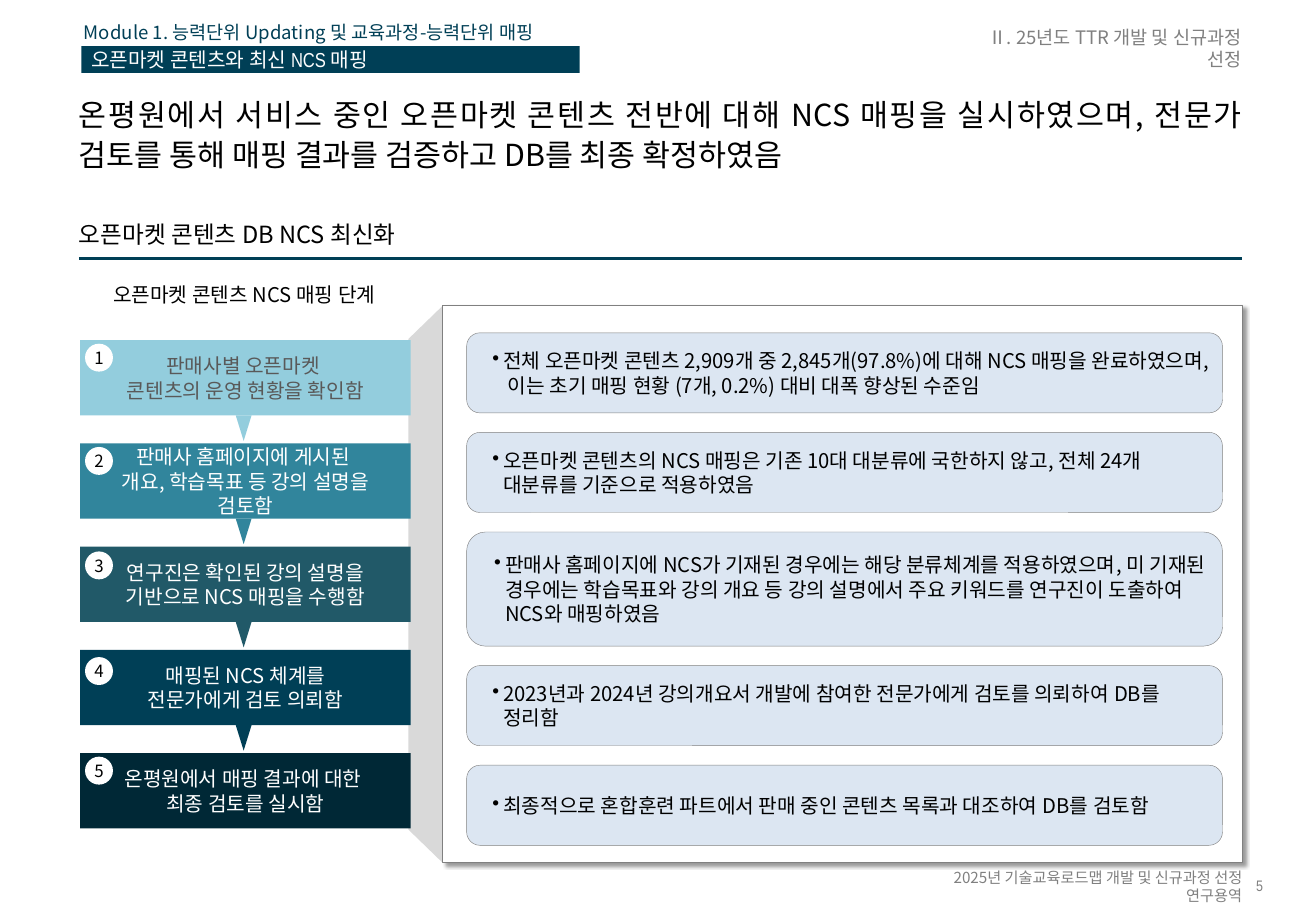
import pptx
import pptx.util
import pptx.dml.color
import pptx.enum.shapes
import pptx.enum.text
import pptx.oxml.ns
from lxml import etree

Inches = pptx.util.Inches
Pt = pptx.util.Pt
SHAPES = pptx.enum.shapes.MSO_SHAPE
ALIGN = pptx.enum.text.PP_ALIGN
ANCHOR = pptx.enum.text.MSO_ANCHOR
qualified = pptx.oxml.ns.qn

FONT = "Noto Sans CJK KR"
NARROW = "Arial Narrow"
NAVY, GRAY, BLACK, WHITE = "003F56", "808080", "000000", "FFFFFF"

STEPS = [
    ("판매사별 오픈마켓 \n콘텐츠의 운영 현황을 확인함", "93CDDD", "595959", 2.83),
    ("판매사 홈페이지에 게시된 \n개요, 학습목표 등 강의 설명을 검토함", "31859C", WHITE, 3.68),
    ("연구진은 확인된 강의 설명을 기반으로 NCS 매핑을 수행함", "215968", WHITE, 4.54),
    ("매핑된 NCS 체계를\n전문가에게 검토 의뢰함", NAVY, WHITE, 5.41),
    ("온평원에서 매핑 결과에 대한 \n최종 검토를 실시함", "002836", WHITE, 6.23),
]
STEP_TOP, STEP_HEIGHT, STEP_PITCH = 2.8, 0.62, 0.85

CARDS = [
    ("전체 오픈마켓 콘텐츠 2,909개 중 2,845개(97.8%)에 대해 NCS 매핑을 완료하였으며, "
     "이는 초기 매핑 현황 (7개, 0.2%) 대비 대폭 향상된 수준임", 0.66),
    ("오픈마켓 콘텐츠의 NCS 매핑은 기존 10대 대분류에 국한하지 않고, "
     "전체 24개 대분류를 기준으로 적용하였음", 0.66),
    ("판매사 홈페이지에 NCS가 기재된 경우에는 해당 분류체계를 적용하였으며, "
     "미 기재된 경우에는 학습목표와 강의 개요 등 강의 설명에서 주요 키워드를 연구진이 "
     "도출하여 NCS와 매핑하였음", 0.94),
    ("2023년과 2024년 강의개요서 개발에 참여한 전문가에게 검토를 의뢰하여 DB를 정리함", 0.66),
    ("최종적으로 혼합훈련 파트에서 판매 중인 콘텐츠 목록과 대조하여 DB를 검토함", 0.66),
]
CARD_TOP, CARD_GAP = 2.74, 0.16


def rgb(value):
    return pptx.dml.color.RGBColor.from_string(value)


def write(shape, text, size=12, color=BLACK, font=FONT, align=ALIGN.LEFT,
          anchor=ANCHOR.MIDDLE, insets=(0, 0, 0, 0), spacing=1.0, wrap=True, bullet=False):
    frame = shape.text_frame
    frame.auto_size = pptx.enum.text.MSO_AUTO_SIZE.NONE
    frame.word_wrap = wrap
    frame.vertical_anchor = anchor
    frame.margin_left, frame.margin_top, frame.margin_right, frame.margin_bottom = map(Inches, insets)
    paragraph = frame.paragraphs[0]
    paragraph.text = text
    properties = paragraph._p.get_or_add_pPr()
    properties.set("marL", str(Inches(0.19 if bullet else 0)))
    properties.set("indent", str(Inches(-0.09 if bullet else 0)))
    if bullet:
        etree.SubElement(properties, qualified("a:buChar")).set("char", "•")
    else:
        etree.SubElement(properties, qualified("a:buNone"))
    paragraph.alignment = align
    paragraph.line_spacing = spacing
    paragraph.space_before = Pt(0)
    for run in paragraph.runs:
        run.font.size = Pt(size)
        run.font.name = font
        run.font.color.rgb = rgb(color)
        east_asian = etree.SubElement(run._r.get_or_add_rPr(), qualified("a:ea"))
        east_asian.set("typeface", FONT)


class SlideBuilder:
    def __init__(self, slide):
        self.slide = slide

    def placeholder(self, index, box, text, **style):
        shape = self.slide.placeholders[index]
        shape.left, shape.top, shape.width, shape.height = map(Inches, box)
        write(shape, text, **style)

    def text(self, box, text, **style):
        write(self.slide.shapes.add_textbox(*map(Inches, box)), text, **style)

    def shape(self, kind, box, fill, text=None, outline=None, **style):
        shape = self.slide.shapes.add_shape(kind, *map(Inches, box))
        shape.shadow.inherit = False
        shape.fill.solid()
        shape.fill.fore_color.rgb = rgb(fill)
        if outline:
            shape.line.color.rgb = rgb(outline)
            shape.line.width = Pt(0.25)
        else:
            shape.line.fill.background()
        if text:
            write(shape, text, **style)
        return shape

    def rule(self, left, top, right, color, width):
        line = self.slide.shapes.add_connector(
            pptx.enum.shapes.MSO_CONNECTOR.STRAIGHT,
            Inches(left), Inches(top), Inches(right), Inches(top))
        line.line.color.rgb = rgb(color)
        line.line.width = Pt(width)
        etree.SubElement(line._element.spPr, qualified("a:effectLst"))

    def panel(self, box):
        panel = self.shape(SHAPES.RECTANGLE, box, WHITE, outline=GRAY)
        effects = panel._element.spPr.find(qualified("a:effectLst"))
        shadow = etree.SubElement(effects, qualified("a:outerShdw"), blurRad=str(Pt(2)),
                                  dist=str(Pt(3)), dir="2700000", algn="tl", rotWithShape="0")
        color = etree.SubElement(shadow, qualified("a:srgbClr"), val=BLACK)
        etree.SubElement(color, qualified("a:alpha"), val="40000")


def add_header(builder):
    builder.placeholder(0, (0.65, 0.71, 9.57, 0.89),
                        "온평원에서 서비스 중인 오픈마켓 콘텐츠 전반에 대해 NCS 매핑을 실시하였으며, "
                        "전문가 검토를 통해 매핑 결과를 검증하고 DB를 최종 확정하였음",
                        size=18, align=ALIGN.JUSTIFY, anchor=ANCHOR.TOP,
                        insets=(0, 0.05, 0, 0), spacing=1.1)
    builder.placeholder(1, (7.98, 0.15, 2.24, 0.49), "Ⅱ. 25년도 TTR 개발 및 신규과정 선정",
                        size=11, color=GRAY, align=ALIGN.RIGHT)
    builder.shape(SHAPES.RECTANGLE, (0.67, 0.38, 4.1, 0.22), NAVY,
                  "오픈마켓 콘텐츠와 최신 NCS 매핑", color=WHITE, font=NARROW, insets=(0.08, 0, 0, 0))
    builder.text((0.65, 0.15, 4.76, 0.23), "Module 1. 능력단위 Updating 및 교육과정-능력단위 매핑",
                 size=11, color=NAVY, insets=(0.04, 0, 0, 0))
    builder.text((0.65, 1.84, 9.57, 0.29), "오픈마켓 콘텐츠 DB NCS 최신화",
                 size=14, anchor=ANCHOR.BOTTOM, insets=(0, 0, 0, 0.08), spacing=0.9)
    builder.rule(0.65, 2.13, 10.22, NAVY, 1.75)


def add_steps(builder):
    builder.text((0.65, 2.3, 2.72, 0.28), "오픈마켓 콘텐츠 NCS 매핑 단계", align=ALIGN.CENTER,
                 anchor=ANCHOR.TOP, insets=(0.1, 0.05, 0.1, 0.05), spacing=0.9)
    for index, (text, fill, color, badge_top) in enumerate(STEPS):
        top = STEP_TOP + index * STEP_PITCH
        builder.shape(SHAPES.RECTANGLE, (0.66, top, 2.72, STEP_HEIGHT), fill, text, color=color,
                      align=ALIGN.CENTER, insets=(0.1, 0.05, 0.1, 0.05))
        if index < len(STEPS) - 1:
            arrow = builder.shape(SHAPES.ISOSCELES_TRIANGLE,
                                  (1.94, top + STEP_HEIGHT, 0.13, 0.21), fill)
            arrow.rotation = 180
        builder.shape(SHAPES.OVAL, (0.7, badge_top, 0.23, 0.23), WHITE, str(index + 1),
                      size=10, align=ALIGN.CENTER, wrap=False)


def add_cards(builder):
    builder.panel((3.64, 2.51, 6.58, 4.59))
    top = CARD_TOP
    for text, height in CARDS:
        builder.shape(SHAPES.ROUNDED_RECTANGLE, (3.84, top, 6.22, height), "DCE6F2", text,
                      outline=GRAY, insets=(0.08, 0.04, 0.08, 0.04), bullet=True)
        top += height + CARD_GAP


def add_footer(builder):
    builder.text((7.4, 7.22, 2.82, 0.15), "2025년 기술교육로드맵 개발 및 신규과정 선정 연구용역",
                 size=9, color=GRAY, align=ALIGN.RIGHT)
    builder.text((10.3, 7.23, 0.13, 0.14), "5", size=9, color=GRAY, font=NARROW,
                 align=ALIGN.CENTER, spacing=0.9)


def main():
    presentation = pptx.Presentation()
    presentation.slide_width = Inches(10.83)
    presentation.slide_height = Inches(7.5)
    builder = SlideBuilder(presentation.slides.add_slide(presentation.slide_layouts[1]))
    add_header(builder)
    funnel = builder.shape(SHAPES.TRAPEZOID, (1.21, 4.67, 4.58, 0.28), "D9D9D9")
    funnel.adjustments[0] = 0.97
    funnel.rotation = 270
    add_steps(builder)
    add_cards(builder)
    add_footer(builder)
    presentation.save("out.pptx")


if __name__ == "__main__":
    main()
